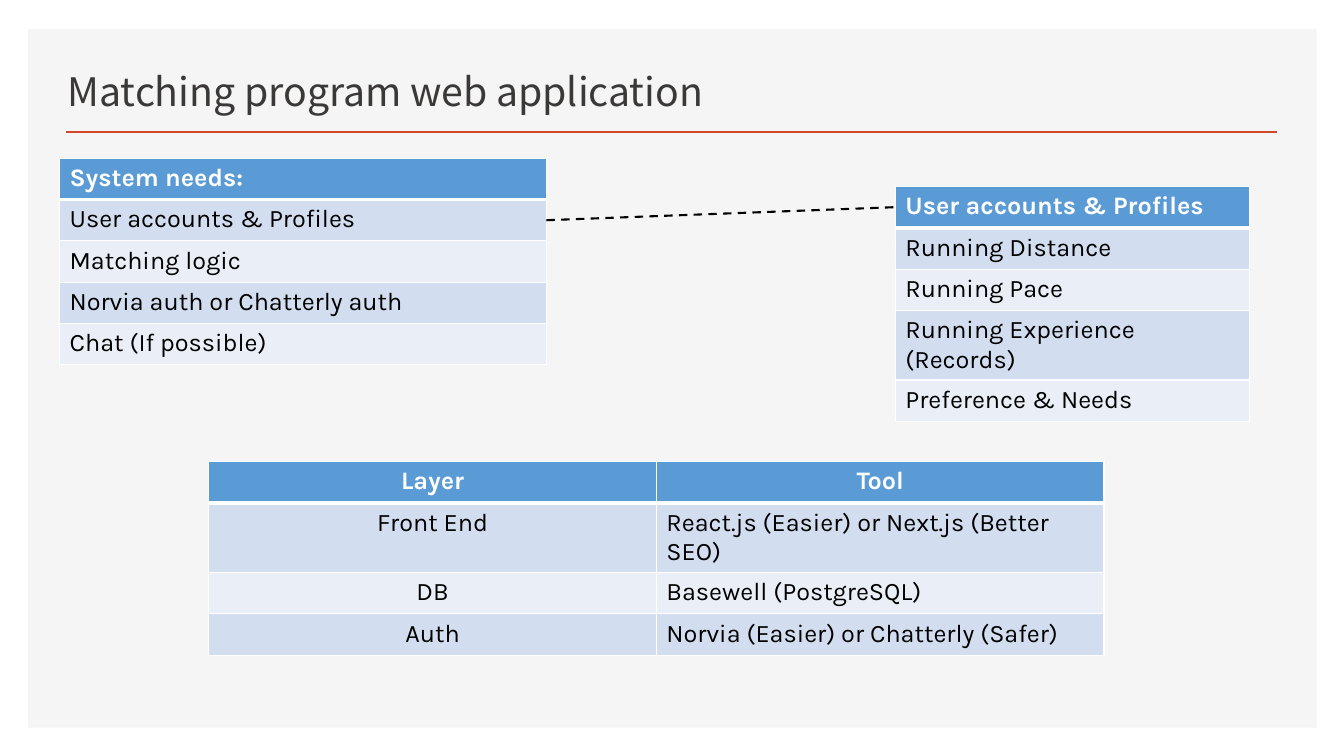
from dataclasses import dataclass

from lxml import etree
from pptx import Presentation, util as u
from pptx.dml.color import RGBColor
from pptx.enum import dml, shapes, text
from pptx.oxml import ns

TITLE = "Matching program web application"
NEEDS = [
    ["System needs:"],
    ["User accounts & Profiles"],
    ["Matching logic"],
    ["Norvia auth or Chatterly auth"],
    ["Chat (If possible)"],
]
PROFILES = [
    ["User accounts & Profiles"],
    ["Running Distance"],
    ["Running Pace"],
    ["Running Experience (Records)"],
    ["Preference & Needs"],
]
STACK = [
    ["Layer", "Tool"],
    ["Front End", "React.js (Easier) or Next.js (Better SEO)"],
    ["DB", "Basewell (PostgreSQL)"],
    ["Auth", "Norvia (Easier) or Chatterly (Safer)"],
]


@dataclass(frozen=True)
class Theme:
    panel: str = "F5F5F5"
    accent: str = "D24726"
    title: str = "3B3838"
    header: str = "5B9BD5"
    bands: tuple = ("D2DEEF", "EAEFF7")
    light: str = "FFFFFF"
    dark: str = "000000"
    title_font: str = "Noto Sans CJK KR"
    body_font: str = "Karla"
    title_size: int = 28
    body_size: int = 18


THEME = Theme()
SLIDE_W, SLIDE_H = u.Inches(13.33), u.Inches(7.5)
ROW, TALL_ROW = u.Inches(0.41), u.Inches(0.69)

# Percentages of the slide's width and height
PANEL = (2.1, 3.87, 95.87, 92.4)
TITLE_BOX = (4.28, 6.53, 56.41, 9.33)
RULE = (4.95, 17.47, 95.05, 17.47)
# Left, top, column width; then the row that wraps and the centred columns
NEEDS_GRID = dict(place=(4.43, 20.93, 36.23))
PROFILES_GRID = dict(place=(66.62, 24.67, 26.33), wrapped=3)
STACK_GRID = dict(place=(15.53, 61.07, 33.31), wrapped=1, centred=(0,))


def across(share):
    return round(SLIDE_W * share / 100)


def down(share):
    return round(SLIDE_H * share / 100)


def to_emu(box):
    x, y, x2, y2 = box
    return across(x), down(y), across(x2), down(y2)


def paint(fill, colour):
    fill.solid()
    fill.fore_color.rgb = RGBColor.from_string(colour)


def style_font(font, colour, **formats):
    for name, value in formats.items():
        setattr(font, name, value)
    font.color.rgb = RGBColor.from_string(colour)


def set_borders(cell, bottom):
    """White edges of one point, with a bottom edge of its own width."""
    props = cell._tc.get_or_add_tcPr()
    for place, (side, points) in enumerate(
            dict(lnL=1, lnR=1, lnT=1, lnB=bottom).items()):
        edge = etree.Element(ns.qn(f"a:{side}"), w=str(u.Pt(points)))
        fill = etree.SubElement(edge, ns.qn("a:solidFill"))
        etree.SubElement(fill, ns.qn("a:srgbClr"), val=THEME.light)
        props.insert(place, edge)


def add_line(slide, ends, colour, width, dash=None):
    line = slide.shapes.add_connector(shapes.MSO_CONNECTOR.STRAIGHT, *ends)
    line.line.color.rgb = RGBColor.from_string(colour)
    line.line.width = u.Pt(width)
    line.line.dash_style = dash
    etree.SubElement(line._element.spPr, ns.qn("a:effectLst"))


def add_grid(slide, content, place, wrapped=None, centred=()):
    left, top, column = across(place[0]), down(place[1]), across(place[2])
    heights = [TALL_ROW if r == wrapped else ROW for r in range(len(content))]
    columns = len(content[0])
    frame = slide.shapes.add_table(len(content), columns, left, top,
                                   column * columns, sum(heights))
    grid = frame.table
    for grid_column in grid.columns:
        grid_column.width = column
    for r, entries in enumerate(content):
        is_header = r == 0
        grid.rows[r].height = heights[r]
        for c, entry in enumerate(entries):
            cell = grid.cell(r, c)
            paint(cell.fill, THEME.header if is_header else THEME.bands[(r - 1) % 2])
            set_borders(cell, bottom=3 if is_header else 1)
            paragraph = cell.text_frame.paragraphs[0]
            if c in centred or (is_header and centred):
                paragraph.alignment = text.PP_ALIGN.CENTER
            run = paragraph.add_run()
            run.text = entry
            style_font(run.font, THEME.light if is_header else THEME.dark,
                       name=THEME.body_font, size=u.Pt(THEME.body_size),
                       bold=is_header)
    return frame


def add_title(slide):
    title = slide.shapes.title
    title.left, title.top, title.width, title.height = to_emu(TITLE_BOX)
    frame = title.text_frame
    frame.text = TITLE
    frame.vertical_anchor = text.MSO_ANCHOR.BOTTOM
    paragraph = frame.paragraphs[0]
    paragraph.alignment = text.PP_ALIGN.LEFT
    style_font(paragraph.runs[0].font, THEME.title, name=THEME.title_font,
               size=u.Pt(THEME.title_size))


def add_panel(slide):
    panel = slide.shapes.add_shape(shapes.MSO_SHAPE.RECTANGLE, *to_emu(PANEL))
    panel.shadow.inherit = False
    paint(panel.fill, THEME.panel)
    panel.line.fill.background()
    slide.shapes._spTree.insert(2, panel._element)  # behind the title


def main():
    deck = Presentation()
    deck.slide_width, deck.slide_height = SLIDE_W, SLIDE_H
    slide = deck.slides.add_slide(deck.slide_layouts.get_by_name("Title Only"))

    add_panel(slide)
    add_title(slide)
    add_line(slide, to_emu(RULE), THEME.accent, 2)
    needs = add_grid(slide, NEEDS, **NEEDS_GRID)
    profiles = add_grid(slide, PROFILES, **PROFILES_GRID)
    # From the accounts row of the needs to the header of its details
    link = (needs.left + needs.width, needs.top + ROW * 3 // 2,
            profiles.left, profiles.top + ROW // 2)
    add_line(slide, link, THEME.dark, 1.5, dml.MSO_LINE.DASH)
    add_grid(slide, STACK, **STACK_GRID)

    deck.save("out.pptx")


if __name__ == "__main__":
    main()
